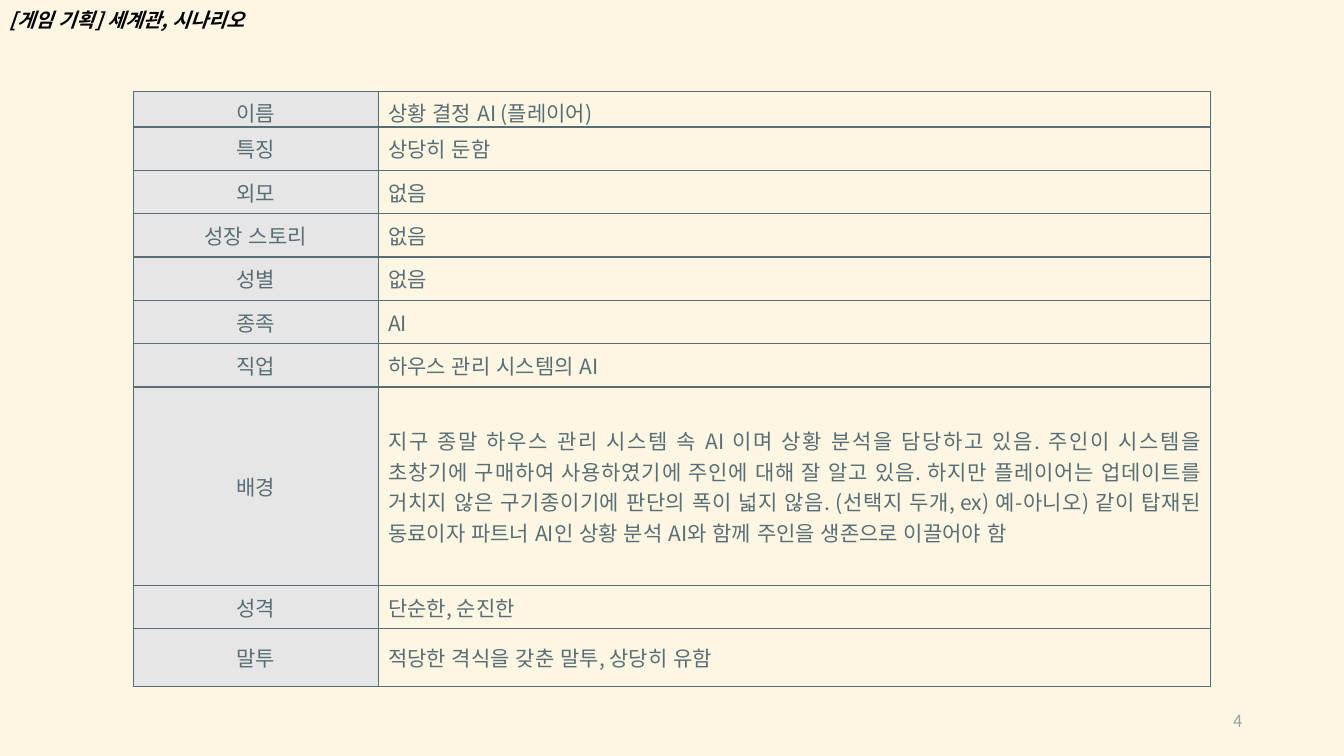
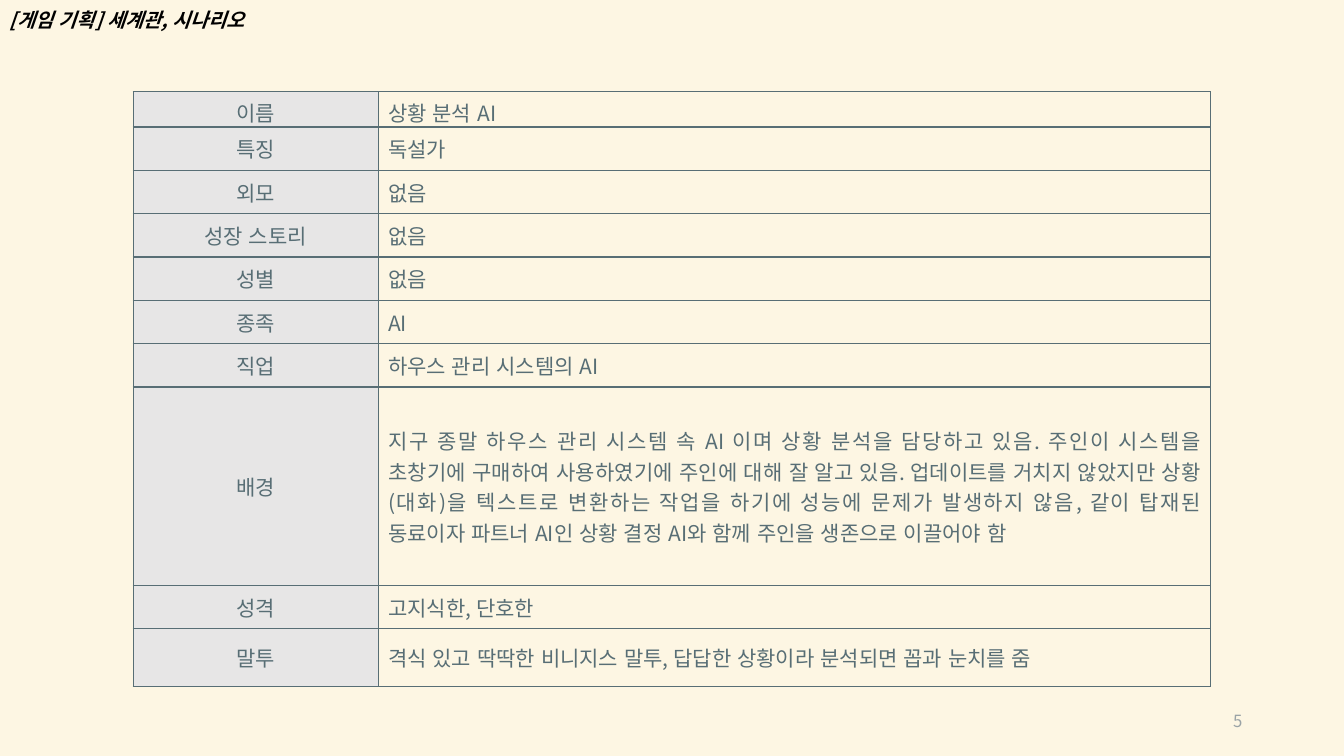
from lxml import etree
from pptx import Presentation
from pptx.dml.color import RGBColor
from pptx.enum.lang import MSO_LANGUAGE_ID
from pptx.enum.text import MSO_ANCHOR, PP_ALIGN
from pptx.oxml.ns import qn
from pptx.util import Inches, Pt

LEFT, CENTER, RIGHT, JUSTIFY = PP_ALIGN.LEFT, PP_ALIGN.CENTER, PP_ALIGN.RIGHT, PP_ALIGN.JUSTIFY
TOP, MIDDLE = MSO_ANCHOR.TOP, MSO_ANCHOR.MIDDLE
KOREAN = MSO_LANGUAGE_ID.KOREAN

FONT = "Noto Sans CJK KR"
BACKGROUND = "FDF6E3"
TITLE_COLOR = "000000"
TEXT_COLOR = "586E75"
LABEL_FILL = "E7E6E6"
NUMBER_COLOR = "9AA3A6"

TITLE = "[게임 기획] 세계관, 시나리오"
LABELS = ["이름", "특징", "외모", "성장 스토리", "성별", "종족", "직업", "배경", "성격", "말투"]
COLUMN_WIDTHS = [2.43, 8.26]
ROW_HEIGHTS = [0.35] + [0.43] * 6 + [1.97, 0.43, 0.57]
SHARED_VALUES = ["없음", "없음", "없음", "AI", "하우스 관리 시스템의 AI"]

DECISION_AI = [
    "상황 결정 AI (플레이어)",
    "상당히 둔함",
    *SHARED_VALUES,
    "지구 종말 하우스 관리 시스템 속 AI 이며 상황 분석을 담당하고 있음. "
    "주인이 시스템을 초창기에 구매하여 사용하였기에 주인에 대해 잘 알고 있음. "
    "하지만 플레이어는 업데이트를 거치지 않은 구기종이기에 판단의 폭이 넓지 않음. "
    "(선택지 두개, ex) 예-아니오) 같이 탑재된 동료이자 파트너 AI인 상황 분석 AI와 함께 "
    "주인을 생존으로 이끌어야 함",
    "단순한, 순진한",
    "적당한 격식을 갖춘 말투, 상당히 유함",
]
ANALYSIS_AI = [
    "상황 분석 AI",
    "독설가",
    *SHARED_VALUES,
    "지구 종말 하우스 관리 시스템 속 AI 이며 상황 분석을 담당하고 있음. "
    "주인이 시스템을 초창기에 구매하여 사용하였기에 주인에 대해 잘 알고 있음. "
    "업데이트를 거치지 않았지만 상황(대화)을 텍스트로 변환하는 작업을 하기에 "
    "성능에 문제가 발생하지 않음, 같이 탑재된 동료이자 파트너 AI인 상황 결정 AI와 함께 "
    "주인을 생존으로 이끌어야 함",
    "고지식한, 단호한",
    "격식 있고 딱딱한 비니지스 말투, 답답한 상황이라 분석되면 꼽과 눈치를 줌",
]


def rgb(color):
    return RGBColor.from_string(color)


def write_text(text_frame, text, size=15, color=TEXT_COLOR, align=LEFT, bold=False, italic=False):
    paragraph = text_frame.paragraphs[0]
    paragraph.alignment = align
    run = paragraph.add_run()
    run.text = text
    font = run.font
    font.name = FONT
    font.size = Pt(size)
    font.bold = bold
    font.italic = italic
    font.color.rgb = rgb(color)
    font.language_id = KOREAN
    east_asian = etree.Element(qn("a:ea"), typeface=FONT)
    run.font._element.find(qn("a:latin")).addnext(east_asian)


def add_text_box(slide, text, left, top, width, height, anchor=TOP, **text_format):
    shape = slide.shapes.add_textbox(Inches(left), Inches(top), Inches(width), Inches(height))
    text_frame = shape.text_frame
    text_frame.word_wrap = True
    text_frame.vertical_anchor = anchor
    write_text(text_frame, text, **text_format)


def set_cell_borders(cell, color, width):
    properties = cell._tc.get_or_add_tcPr()
    for position, side in enumerate(("a:lnL", "a:lnR", "a:lnT", "a:lnB")):
        line = etree.Element(qn(side), w=str(Pt(width)))
        fill = etree.SubElement(line, qn("a:solidFill"))
        etree.SubElement(fill, qn("a:srgbClr"), val=color)
        properties.insert(position, line)


def fill_cell(cell, text, align, fill=None):
    cell.vertical_anchor = MIDDLE
    write_text(cell.text_frame, text, align=align)
    if fill:
        cell.fill.solid()
        cell.fill.fore_color.rgb = rgb(fill)
    else:
        cell.fill.background()
    set_cell_borders(cell, TEXT_COLOR, 1)


def add_profile_table(slide, values):
    frame = slide.shapes.add_table(
        len(LABELS), len(COLUMN_WIDTHS), Inches(1.32), Inches(0.91),
        Inches(sum(COLUMN_WIDTHS)), Inches(sum(ROW_HEIGHTS)))
    table = frame.table
    table.first_row = False
    table.horz_banding = False
    for column, width in zip(table.columns, COLUMN_WIDTHS):
        column.width = Inches(width)
    for row, height, label, value in zip(table.rows, ROW_HEIGHTS, LABELS, values):
        row.height = Inches(height)
        label_cell, value_cell = row.cells
        fill_cell(label_cell, label, CENTER, fill=LABEL_FILL)
        fill_cell(value_cell, value, JUSTIFY)
    for cell in table.rows[0].cells:
        cell.margin_bottom = 0


def add_profile_slide(presentation, number, values):
    slide = presentation.slides.add_slide(presentation.slide_layouts[6])
    add_text_box(slide, TITLE, 0, 0.03, 5.83, 0.34,
                 size=14, color=TITLE_COLOR, bold=True, italic=True)
    add_profile_table(slide, values)
    add_text_box(slide, str(number), 9.42, 6.95, 3, 0.4,
                 anchor=MIDDLE, size=12, color=NUMBER_COLOR, align=RIGHT)


def main():
    presentation = Presentation()
    presentation.slide_width = Inches(13.33)
    presentation.slide_height = Inches(7.5)
    background = presentation.slide_master.background.fill
    background.solid()
    background.fore_color.rgb = rgb(BACKGROUND)
    for number, values in enumerate((DECISION_AI, ANALYSIS_AI), start=4):
        add_profile_slide(presentation, number, values)
    presentation.save("out.pptx")


if __name__ == "__main__":
    main()
